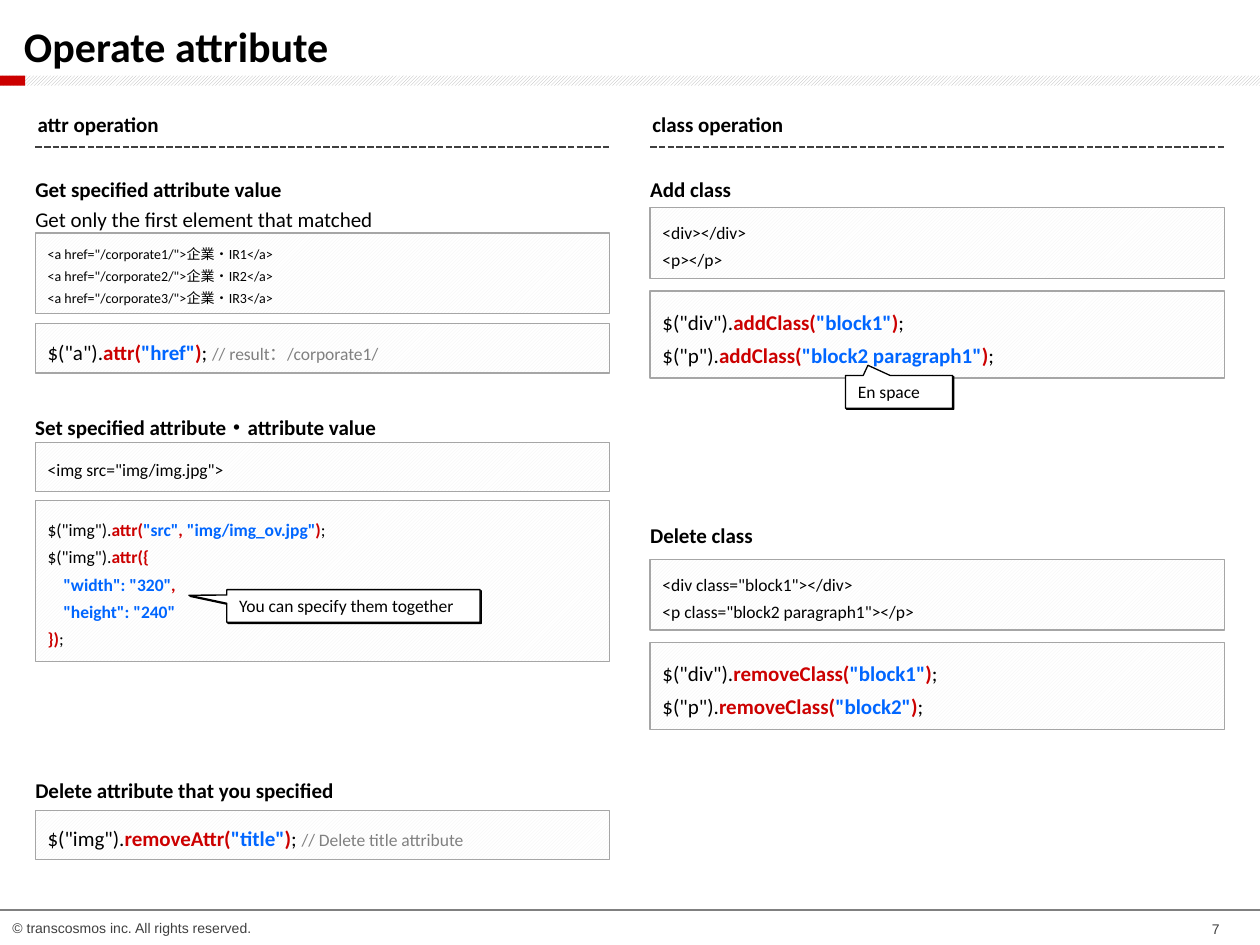
from dataclasses import dataclass

from lxml.etree import SubElement
from pptx import Presentation
from pptx.dml.color import RGBColor
from pptx.enum.dml import MSO_LINE, MSO_PATTERN
from pptx.enum.shapes import MSO_CONNECTOR, MSO_SHAPE
from pptx.enum.text import MSO_ANCHOR, MSO_AUTO_SIZE, PP_ALIGN
from pptx.oxml.ns import qn
from pptx.util import Emu, Pt

SCALE = 9144  # EMU per px, 100 px to the inch


def px(n):
    return Emu(n * SCALE)


@dataclass(frozen=True)
class Theme:
    font: str = "Calibri"
    foot: str = "Arial"
    ink: str = "000000"
    paper: str = "FFFFFF"
    red: str = "CC0000"
    blue: str = "0066FF"
    note: str = "808080"
    dark: str = "404040"
    edge: str = "A6A6A6"
    hatch: str = "F2F2F2"
    band: str = "B2B2B2"
    title: int = 24
    head: int = 12
    code: int = 10
    tiny: int = 8


THEME = Theme()


def rgb(code):
    return RGBColor.from_string(code)


def write(shape, lines, size=THEME.head, font=THEME.font, color=THEME.ink, bold=False,
          space=None, align=PP_ALIGN.LEFT, anchor=MSO_ANCHOR.TOP,
          inset=(10, 5, 10, 5), wrap=True, grow=False):
    """Fill a shape; a line is a string or a list of (text, run format) pairs."""
    frame = shape.text_frame
    frame.word_wrap = wrap
    frame.auto_size = MSO_AUTO_SIZE.SHAPE_TO_FIT_TEXT if grow else MSO_AUTO_SIZE.NONE
    frame.vertical_anchor = anchor
    (frame.margin_left, frame.margin_top,
     frame.margin_right, frame.margin_bottom) = map(px, inset)
    for i, line in enumerate(lines):
        para = frame.add_paragraph() if i else frame.paragraphs[0]
        para.alignment = align
        para.space_before = Pt(0)
        if space:
            para.line_spacing = space
        for text, style in [(line, {})] if isinstance(line, str) else line:
            run = para.add_run()
            run.text = text
            run.font.name = font
            run.font.size = Pt(style.get("size", size))
            run.font.bold = style.get("bold", bold)
            run.font.color.rgb = rgb(style.get("color", color))
            # East Asian signs such as the middle dot take the same font
            SubElement(run._r.get_or_add_rPr(), qn("a:ea"), typeface=font)


PLAIN = {}
VERB = {"color": THEME.red, "bold": True}
VALUE = {"color": THEME.blue, "bold": True}
NOTE = {"color": THEME.note, "size": THEME.code}


def call(target, verb, *args, note=""):
    """Runs of one coloured jQuery call, with an optional comment after it."""
    runs = [(f'$("{target}").', PLAIN), (f"{verb}(", VERB)]
    for i, arg in enumerate(args):
        if i:
            runs.append((", ", VERB))
        runs.append((f'"{arg}"', VALUE))
    runs += [(")", VERB), ("; " if note else ";", PLAIN)]
    return runs + [(note, NOTE)] if note else runs


class Page:
    def __init__(self, slide, theme):
        self.slide, self.theme = slide, theme
        self.shapes = slide.shapes

    def title(self, text, *box):
        shape = self.shapes.title
        shape.left, shape.top, shape.width, shape.height = map(px, box)
        write(shape, [text], size=self.theme.title, bold=True, space=0.9,
              anchor=MSO_ANCHOR.BOTTOM, inset=(7, 3, 7, 3), wrap=False, grow=True)

    def text(self, lines, *box, **style):
        write(self.shapes.add_textbox(*map(px, box)), lines, **style)

    def shape(self, kind, *box, fill=None, hatch=None, line=None):
        """Preset shape with a solid fill, or a hatch given as (pattern, colour)."""
        shape = self.shapes.add_shape(kind, *map(px, box))
        shape.shadow.inherit = False
        if hatch:
            shape.fill.patterned()
            shape.fill.pattern, color = hatch
            shape.fill.fore_color.rgb = rgb(color)
            shape.fill.back_color.rgb = rgb(self.theme.paper)
        else:
            shape.fill.solid()
            shape.fill.fore_color.rgb = rgb(fill)
        if line:
            shape.line.color.rgb = rgb(line)
            shape.line.width = Pt(0.75)
        else:
            shape.line.fill.background()
        return shape

    def rule(self, left, right, y, color, width, dash=None):
        line = self.shapes.add_connector(MSO_CONNECTOR.STRAIGHT, *map(px, (left, y, right, y)))
        line.line.color.rgb = rgb(color)
        line.line.width = Pt(width)
        if dash:
            line.line.dash_style = dash
        SubElement(line._element.spPr, qn("a:effectLst"))

    def column(self, name, left):
        self.text([name], left - 8, 84, 470, 63, bold=True)
        self.rule(left, left + WIDE, 117, self.theme.dark, 1.25, MSO_LINE.SQUARE_DOT)

    def head(self, lines, left, top, width, height=32):
        self.text(lines, left, top, width, height, bold=True, space=1.2,
                  inset=(0, 5, 10, 5), wrap=False, grow=True)

    def code(self, lines, left, top, height, size=THEME.head):
        shape = self.shape(MSO_SHAPE.RECTANGLE, left, top, WIDE, height, line=self.theme.edge,
                           hatch=(MSO_PATTERN.DARK_UPWARD_DIAGONAL, self.theme.hatch))
        write(shape, lines, size=size, space=1.3, anchor=MSO_ANCHOR.MIDDLE,
              inset=(10, 10, 10, 10))

    def callout(self, text, *box, tip):
        shape = self.shape(MSO_SHAPE.RECTANGULAR_CALLOUT, *box,
                           fill=self.theme.paper, line=self.theme.ink)
        shape.adjustments[0], shape.adjustments[1] = tip
        shade = SubElement(shape._element.spPr.find(qn("a:effectLst")), qn("a:outerShdw"),
                           blurRad="0", dist=str(Pt(1)), dir="2700000",
                           algn="tl", rotWithShape="0")
        SubElement(shade, qn("a:srgbClr"), val=self.theme.ink)
        write(shape, [text], size=self.theme.code, anchor=MSO_ANCHOR.MIDDLE)

    def frame(self, number):
        """Red and hatched bar under the title, and the footer."""
        self.shape(MSO_SHAPE.RECTANGLE, 0, 60, 1000, 8,
                   hatch=(MSO_PATTERN.LIGHT_UPWARD_DIAGONAL, self.theme.band))
        self.shape(MSO_SHAPE.RECTANGLE, 0, 60, 20, 8, fill=self.theme.red)
        small = dict(size=self.theme.tiny, font=self.theme.foot, color=self.theme.dark,
                     anchor=MSO_ANCHOR.MIDDLE, wrap=False)
        self.text([number], 950, 725, 25, 24, align=PP_ALIGN.RIGHT, inset=(7, 3, 7, 3), **small)
        self.text(["© transcosmos inc. All rights reserved."], 0, 725, 215, 23,
                  grow=True, **small)
        self.rule(0, 1000, 722, self.theme.note, 1)


LEFT, RIGHT, WIDE = 28, 516, 456


def attrs(page):
    page.column("attr operation", LEFT)
    page.head(["Get specified attribute value",
               [("Get only the first element that matched", {"bold": False})]],
              LEFT, 131, 282, 57)
    page.code([f'<a href="/corporate{n}/">企業・IR{n}</a>' for n in (1, 2, 3)],
              LEFT, 185, 64, THEME.tiny)
    page.code([call("a", "attr", "href", note="// result：/corporate1/")], LEFT, 257, 39)

    page.head(["Set specified attribute・attribute value"], LEFT, 320, 310)
    page.code(['<img src="img/img.jpg">'], LEFT, 351, 39, THEME.code)
    page.code([call("img", "attr", "src", "img/img_ov.jpg"),
               [('$("img").', PLAIN), ("attr({", VERB)],
               [('    "width": "320"', VALUE), (",", VERB)],
               [('    "height": "240"', VALUE)],
               [("})", VERB), (";", PLAIN)]], LEFT, 397, 128, THEME.code)
    page.callout("You can specify them together", 180, 468, 201, 26, tip=(-0.65, -0.33))

    page.head(["Delete attribute that you specified"], LEFT, 608, 251)
    page.code([call("img", "removeAttr", "title", note="// Delete title attribute")],
              LEFT, 643, 39)


def classes(page):
    page.column("class operation", RIGHT)
    page.head(["Add class"], RIGHT, 131, 75)
    page.code(["<div></div>", "<p></p>"], RIGHT, 165, 56, THEME.code)
    page.code([call("div", "addClass", "block1"),
               call("p", "addClass", "block2 paragraph1")], RIGHT, 231, 69)
    page.callout("En space", 671, 298, 85, 26, tip=(-0.29, -0.81))

    page.head(["Delete class"], RIGHT, 406, 93)
    page.code(['<div class="block1"></div>', '<p class="block2 paragraph1"></p>'],
              RIGHT, 444, 56, THEME.code)
    page.code([call("div", "removeClass", "block1"),
               call("p", "removeClass", "block2")], RIGHT, 510, 69)


def main():
    deck = Presentation()
    deck.slide_width, deck.slide_height = px(1000), px(750)
    page = Page(deck.slides.add_slide(deck.slide_layouts[5]), THEME)
    page.frame("7")
    page.title("Operate attribute", 12, 18, 262, 42)
    attrs(page)
    classes(page)
    deck.save("out.pptx")


if __name__ == "__main__":
    main()
